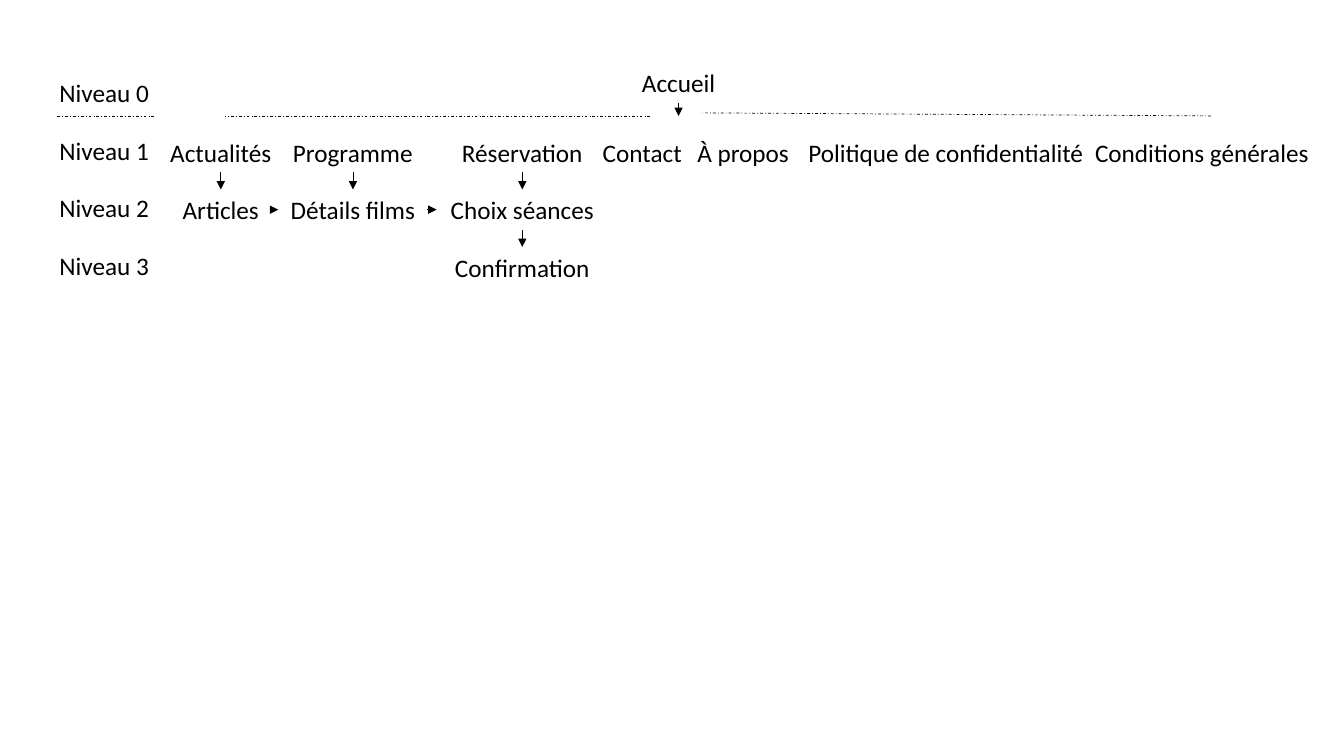
"""Draw the site map of a cinema website, arranged in four levels."""
from dataclasses import dataclass

from lxml.etree import SubElement
from pptx import Presentation
from pptx.dml.color import RGBColor
from pptx.enum.dml import MSO_LINE_DASH_STYLE as Dash
from pptx.enum.shapes import MSO_CONNECTOR as Connector
from pptx.enum.text import MSO_AUTO_SIZE as AutoSize, PP_ALIGN as Align
from pptx.oxml.ns import qn
from pptx.slide import Slide
from pptx.util import Inches, Pt

BLACK = RGBColor(0x00, 0x00, 0x00)
FONT = "Calibri"
ROW_TOP, ROW_STEP, BOX_HEIGHT = 0.74, 0.57, 0.4
LEVEL_LEFT, LEVEL_WIDTH, LEVEL_RISE = 0.49, 2.88, 0.02
NEWS, PROGRAMME, BOOKING = 2.19, 3.5, 5.18
SEPARATOR = 1.15


@dataclass(frozen=True)
class Page:
    """A page of the site, centred on its column in a level."""
    name: str
    centre: float
    level: int
    width: float = 1.84
    rise: float = 0.0

    @property
    def left(self) -> float:
        return self.centre - self.width / 2

    @property
    def right(self) -> float:
        return self.centre + self.width / 2

    @property
    def top(self) -> float:
        return row_top(self.level) - self.rise

    @property
    def bottom(self) -> float:
        return self.top + BOX_HEIGHT

    @property
    def middle(self) -> float:
        return self.top + BOX_HEIGHT / 2


@dataclass(frozen=True)
class Rule:
    """A dashed separator below the home level."""
    start: float
    end: float
    end_rise: float = 0.0


def row_top(level: int) -> float:
    """Return the top of a level's row."""
    return ROW_TOP + level * ROW_STEP


def add_label(slide: Slide, text: str, left: float, top: float,
              width: float, align: Align) -> None:
    """Add one line of text in a box."""
    box = slide.shapes.add_textbox(Inches(left), Inches(top),
                                   Inches(width), Inches(BOX_HEIGHT))
    frame = box.text_frame
    frame.word_wrap = True
    frame.auto_size = AutoSize.SHAPE_TO_FIT_TEXT
    paragraph = frame.paragraphs[0]
    paragraph.alignment = align
    run = paragraph.add_run()
    run.text = text
    run.font.name = FONT
    run.font.size = Pt(18)
    run.font.color.rgb = BLACK


def add_line(slide: Slide, start: tuple[float, float],
             end: tuple[float, float], arrow: bool) -> None:
    """Add a thin line, either an arrow or a dashed rule."""
    connector = slide.shapes.add_connector(
        Connector.STRAIGHT, *(Inches(value) for value in (*start, *end)))
    line = connector.line
    line.color.rgb = BLACK
    line.width = Pt(0.5)
    if arrow:
        SubElement(line._get_or_add_ln(), qn("a:tailEnd"), type="triangle")
    else:
        line.dash_style = Dash.DASH_DOT
    SubElement(connector._element.spPr, qn("a:effectLst"))


HOME = Page("Accueil", 6.73, 0, 1.01, rise=0.12)
ACTUALITES = Page("Actualités", NEWS, 1)
PROGRAMMES = Page("Programme", PROGRAMME, 1)
RESERVATION = Page("Réservation", BOOKING, 1)
ARTICLES = Page("Articles", NEWS, 2, 1.01)
DETAILS = Page("Détails films", PROGRAMME, 2, 1.48)
SEANCES = Page("Choix séances", BOOKING, 2, 1.7)
CONFIRMATION = Page("Confirmation", BOOKING, 3, 1.7)
PAGES = (
    HOME, ACTUALITES, PROGRAMMES, RESERVATION,
    Page("Contact", 6.37, 1),
    Page("À propos", 7.37, 1),
    Page("Politique de confidentialité", 9.38, 1, 3.05),
    Page("Conditions générales", 11.92, 1, 3.05),
    ARTICLES, DETAILS, SEANCES, CONFIRMATION,
)
STEPS_DOWN = ((ACTUALITES, ARTICLES), (PROGRAMMES, DETAILS),
              (RESERVATION, SEANCES), (SEANCES, CONFIRMATION))
STEPS_ACROSS = ((ARTICLES, DETAILS), (DETAILS, SEANCES))
RULES = (Rule(1.53, 0.56), Rule(6.45, 2.23), Rule(12.01, 6.97, 0.03))


def main() -> None:
    """Build and save the slide."""
    presentation = Presentation()
    presentation.slide_width = Inches(13.33)
    presentation.slide_height = Inches(7.5)
    slide = presentation.slides.add_slide(presentation.slide_layouts[6])

    for level in range(4):
        add_label(slide, f"Niveau {level}", LEVEL_LEFT,
                  row_top(level) - LEVEL_RISE, LEVEL_WIDTH, Align.LEFT)
    for page in PAGES:
        add_label(slide, page.name, page.left, page.top, page.width,
                  Align.CENTER)

    add_line(slide, (HOME.centre, HOME.bottom), (HOME.centre, SEPARATOR), True)
    for upper, lower in STEPS_DOWN:
        add_line(slide, (upper.centre, upper.bottom),
                 (lower.centre, lower.top), True)
    for first, second in STEPS_ACROSS:
        add_line(slide, (first.right, first.middle),
                 (second.left, second.middle), True)
    for rule in RULES:
        add_line(slide, (rule.start, SEPARATOR),
                 (rule.end, SEPARATOR - rule.end_rise), False)

    presentation.save("out.pptx")


main()
